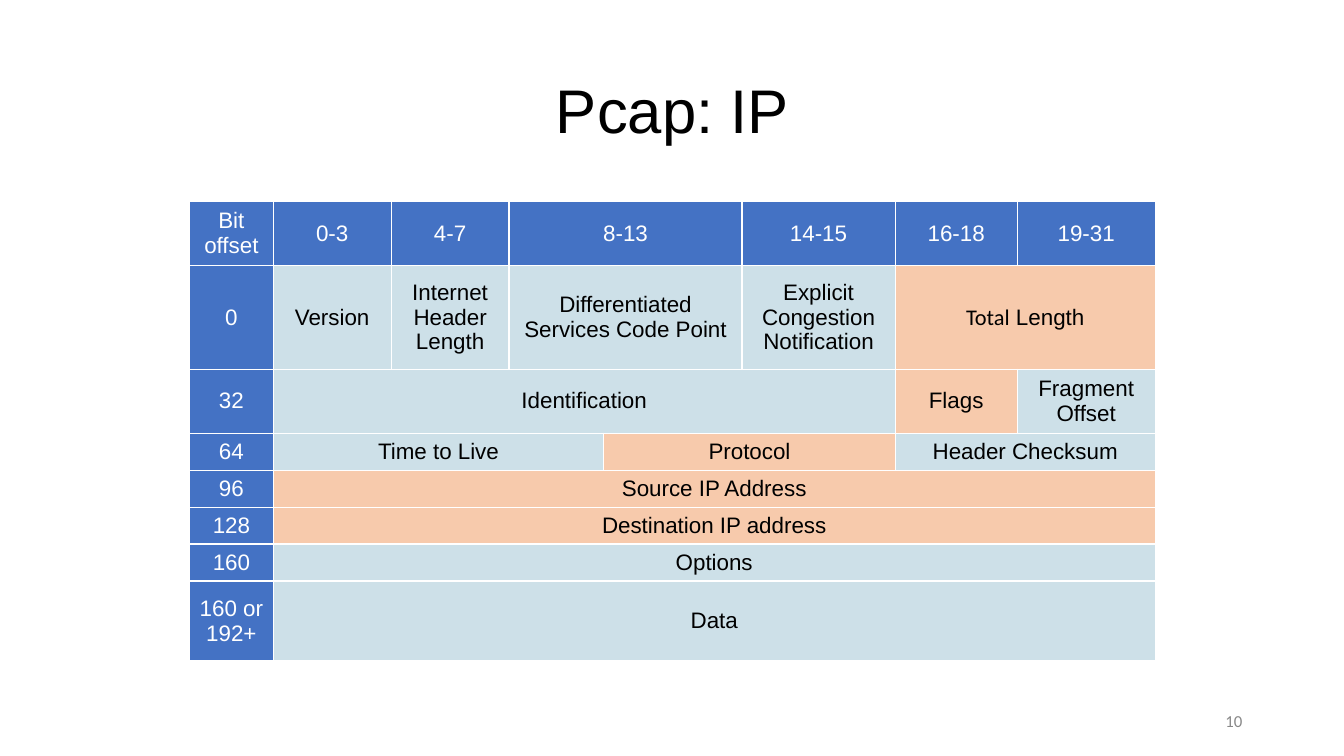
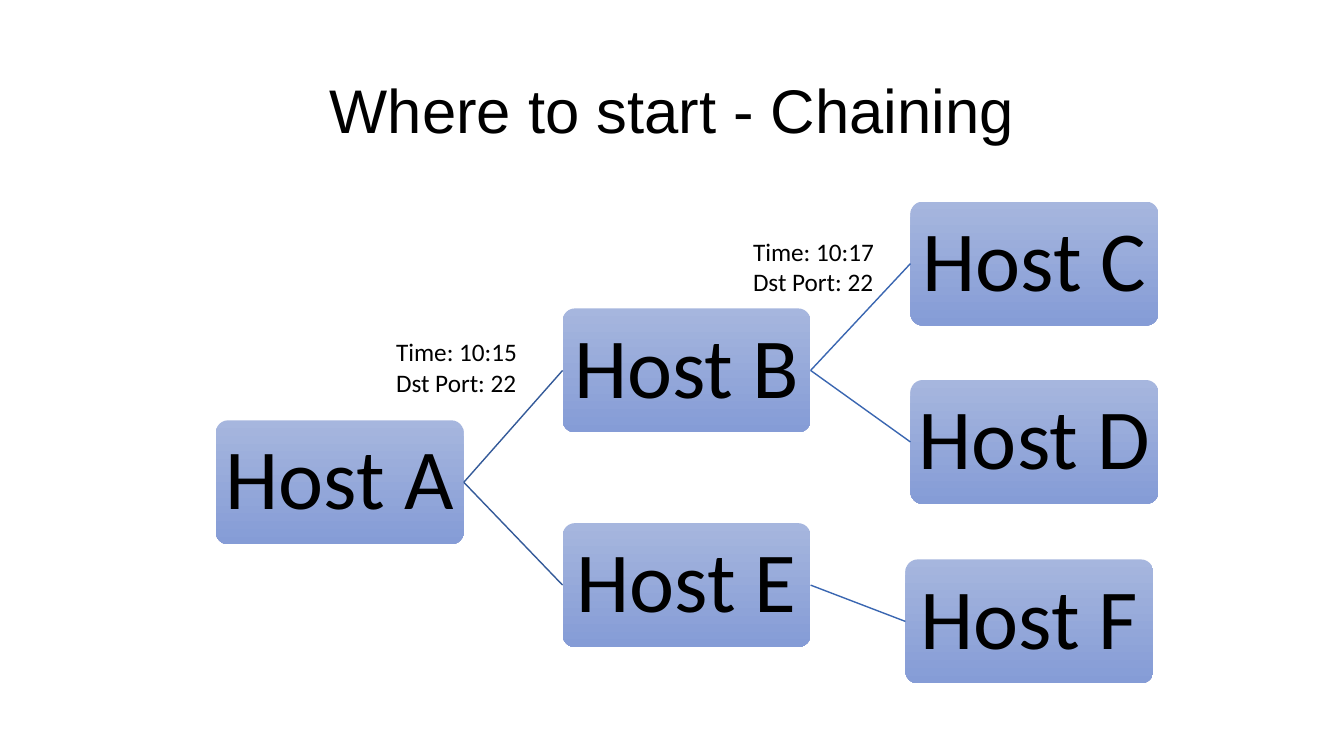
"""Build two slides: the IP header layout table and a host chaining diagram."""
from lxml.etree import SubElement
from pptx import Presentation
from pptx.dml.color import RGBColor
from pptx.enum.shapes import MSO_CONNECTOR as Connector, MSO_SHAPE as Shape
from pptx.enum.text import MSO_ANCHOR as Anchor, MSO_AUTO_SIZE as AutoSize, PP_ALIGN as Align
from pptx.oxml import parse_xml
from pptx.oxml.ns import nsdecls, qn
from pptx.util import Emu, Pt

PX = 9144
BLACK = RGBColor(0x00, 0x00, 0x00)
WHITE = RGBColor(0xFF, 0xFF, 0xFF)
GRAY = RGBColor(0x88, 0x88, 0x88)
BLUE = RGBColor(0x44, 0x72, 0xC4)
PALE = RGBColor(0xCD, 0xE0, 0xE8)
PEACH = RGBColor(0xF7, 0xCA, 0xAC)
HOST_TOP = RGBColor(0xA6, 0xB6, 0xDE)
HOST_BOTTOM = RGBColor(0x85, 0x9C, 0xD6)
FIRST_LINK = RGBColor(0x34, 0x5A, 0x99)
NEXT_LINK = RGBColor(0x3A, 0x66, 0xB1)

SLIDE_SIZE = (1333, 750)
TITLE_AREA = (92, 40, 1150, 145)
PAGE_NUMBER = ("10", (942, 695, 300, 40))

TABLE_CORNER = (188, 200)
COLUMN_WIDTHS = [83, 117, 117, 94, 137, 152, 121, 137]
ROW_HEIGHTS = [59, 103, 59, 35, 35, 35, 35, 79]
HEADER_ROWS = [
    [("Bit offset", 1, BLUE), ("0-3", 1, BLUE), ("4-7", 1, BLUE), ("8-13", 2, BLUE),
     ("14-15", 1, BLUE), ("16-18", 1, BLUE), ("19-31", 1, BLUE)],
    [("0", 1, BLUE), ("Version", 1, PALE), ("Internet Header Length", 1, PALE),
     ("Differentiated Services Code Point", 2, PALE),
     ("Explicit Congestion Notification", 1, PALE), ("Total Length", 2, PEACH)],
    [("32", 1, BLUE), ("Identification", 5, PALE), ("Flags", 1, PEACH),
     ("Fragment Offset", 1, PALE)],
    [("64", 1, BLUE), ("Time to Live", 3, PALE), ("Protocol", 2, PEACH),
     ("Header Checksum", 2, PALE)],
    [("96", 1, BLUE), ("Source IP Address", 7, PEACH)],
    [("128", 1, BLUE), ("Destination IP address", 7, PEACH)],
    [("160", 1, BLUE), ("Options", 7, PALE)],
    [("160 or 192+", 1, BLUE), ("Data", 7, PALE)],
]
CALIBRI_WORD = "Total"

HOST_SIZE = (246, 123)
HOSTS = {"A": (214, 417), "B": (558, 306), "C": (903, 200),
         "D": (903, 377), "E": (558, 519), "F": (898, 555)}
LINKS = [("A", "B", FIRST_LINK), ("A", "E", FIRST_LINK),
         ("B", "C", NEXT_LINK), ("B", "D", NEXT_LINK), ("E", "F", NEXT_LINK)]
RIGHT_SITE, LEFT_SITE = 3, 1
LABELS = [("Time: 10:15\nDst Port: 22", (383, 329, 195, 71)),
          ("Time: 10:17\nDst Port: 22", (737, 229, 195, 71))]


def px(*lengths):
    return [Emu(length * PX) for length in lengths]


def style_font(font, size, name, color):
    font.size, font.name, font.bold = Pt(size), name, False
    font.color.rgb = color


def write(frame, text, size, name, color, align=Align.LEFT, spacing=None):
    frame.text = text
    for para in frame.paragraphs:
        para.alignment = align
        if spacing:
            para.line_spacing = spacing
        for span in para.runs:
            style_font(span.font, size, name, color)


def add_page(deck, title):
    page = deck.slides.add_slide(deck.slide_layouts[5])
    box = page.shapes.title
    box.left, box.top, box.width, box.height = px(*TITLE_AREA)
    frame = box.text_frame
    frame.auto_size, frame.vertical_anchor = AutoSize.NONE, Anchor.MIDDLE
    write(frame, title, 44, "Arial", BLACK, Align.CENTER, 0.9)
    return page


def add_label(page, text, area, size, color, align=Align.LEFT, anchor=Anchor.TOP):
    frame = page.shapes.add_textbox(*px(*area)).text_frame
    frame.word_wrap, frame.vertical_anchor = True, anchor
    write(frame, text, size, "Calibri", color, align)


def add_borders(cell):
    properties = cell._tc.get_or_add_tcPr()
    for position, side in enumerate(("lnL", "lnR", "lnT", "lnB")):
        properties.insert(position, parse_xml(
            f'<a:{side} {nsdecls("a")} w="12700"><a:solidFill>'
            f'<a:srgbClr val="{WHITE}"/></a:solidFill></a:{side}>'))


def fill_cell(cell, text, color):
    cell.fill.solid()
    cell.fill.fore_color.rgb = color
    cell.vertical_anchor = Anchor.MIDDLE
    ink = WHITE if color == BLUE else BLACK
    write(cell.text_frame, text, 16, "Arial", ink, Align.CENTER)
    if text.startswith(CALIBRI_WORD):
        para = cell.text_frame.paragraphs[0]
        para.runs[0].text = CALIBRI_WORD
        para.runs[0].font.name = "Calibri"
        rest = para.add_run()
        rest.text = text.removeprefix(CALIBRI_WORD)
        style_font(rest.font, 16, "Arial", ink)


def add_header_table(page):
    size = (sum(COLUMN_WIDTHS), sum(ROW_HEIGHTS))
    table = page.shapes.add_table(
        len(ROW_HEIGHTS), len(COLUMN_WIDTHS), *px(*TABLE_CORNER, *size)).table
    table.first_row = table.horz_banding = False
    for column, width in zip(table.columns, px(*COLUMN_WIDTHS)):
        column.width = width
    for row, height in zip(table.rows, px(*ROW_HEIGHTS)):
        row.height = height
    for cell in table.iter_cells():
        add_borders(cell)
    for row, fields in enumerate(HEADER_ROWS):
        column = 0
        for text, width, color in fields:
            cell = table.cell(row, column)
            if width > 1:
                cell.merge(table.cell(row, column + width - 1))
            fill_cell(cell, text, color)
            column += width


def add_host(page, name, corner):
    box = page.shapes.add_shape(Shape.ROUNDED_RECTANGLE, *px(*corner, *HOST_SIZE))
    box.adjustments[0] = 0.1
    box.shadow.inherit = False
    box.line.fill.background()
    box.fill.gradient()
    box.fill.gradient_angle = 270
    for stop, color in zip(box.fill.gradient_stops, (HOST_TOP, HOST_BOTTOM)):
        stop.color.rgb = color
    frame = box.text_frame
    frame.margin_left, frame.margin_right, frame.margin_top, frame.margin_bottom = px(4, 4, 4, 4)
    frame.word_wrap, frame.vertical_anchor = False, Anchor.MIDDLE
    write(frame, f"Host {name}", 61, "Calibri", BLACK, Align.CENTER, 0.9)
    return box


def add_link(page, source, target, color):
    link = page.shapes.add_connector(Connector.STRAIGHT, 0, 0, 0, 0)
    link.begin_connect(source, RIGHT_SITE)
    link.end_connect(target, LEFT_SITE)
    link.line.color.rgb, link.line.width = color, Pt(1)
    SubElement(link._element.spPr, qn("a:effectLst"))


def main():
    deck = Presentation()
    deck.slide_width, deck.slide_height = px(*SLIDE_SIZE)

    page = add_page(deck, "Pcap: IP")
    number, area = PAGE_NUMBER
    add_label(page, number, area, 12, GRAY, Align.RIGHT, Anchor.MIDDLE)
    add_header_table(page)

    page = add_page(deck, "Where to start - Chaining")
    boxes = {name: add_host(page, name, corner) for name, corner in HOSTS.items()}
    for source, target, color in LINKS:
        add_link(page, boxes[source], boxes[target], color)
    for text, area in LABELS:
        add_label(page, text, area, 18, BLACK)

    deck.save("out.pptx")


if __name__ == "__main__":
    main()
